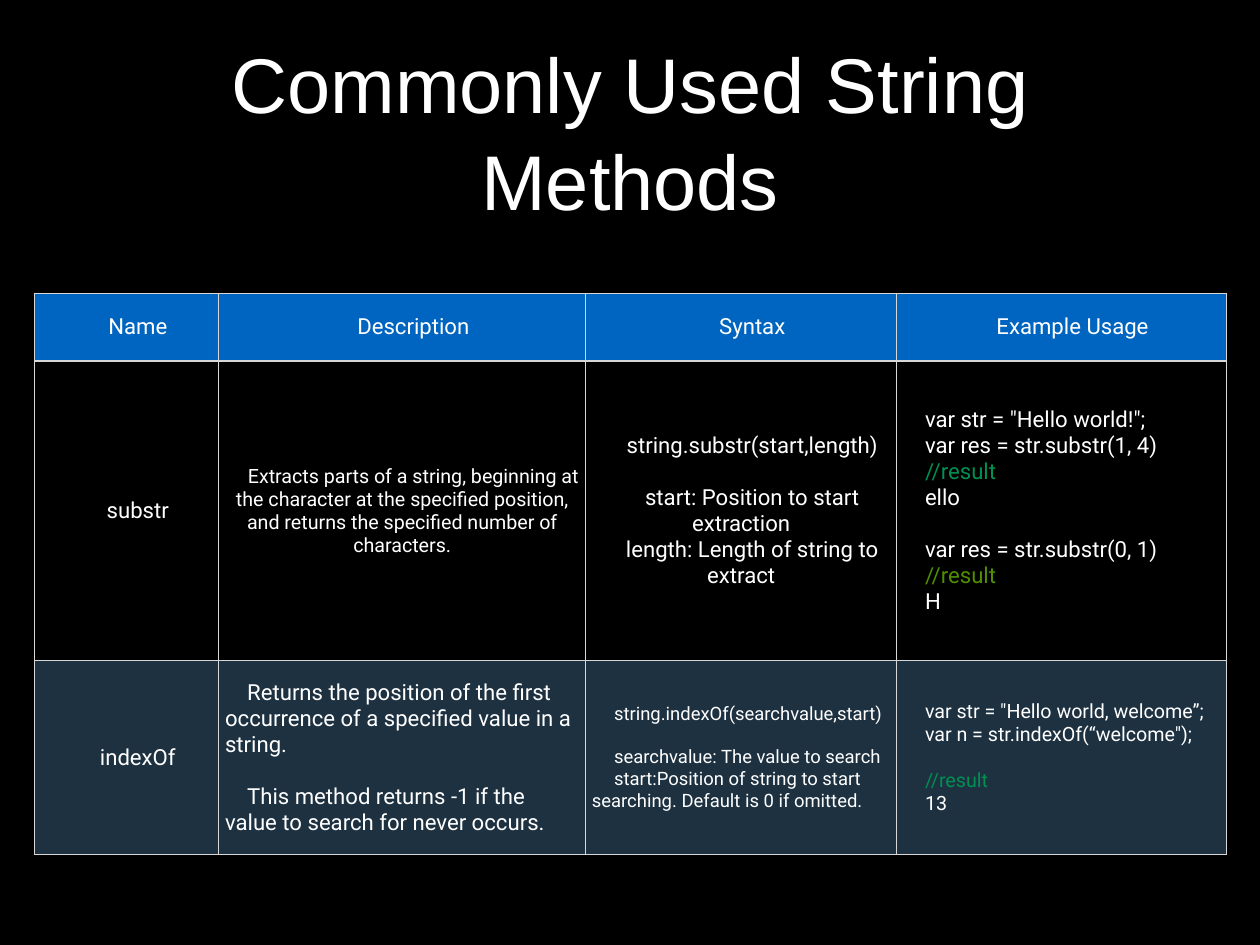
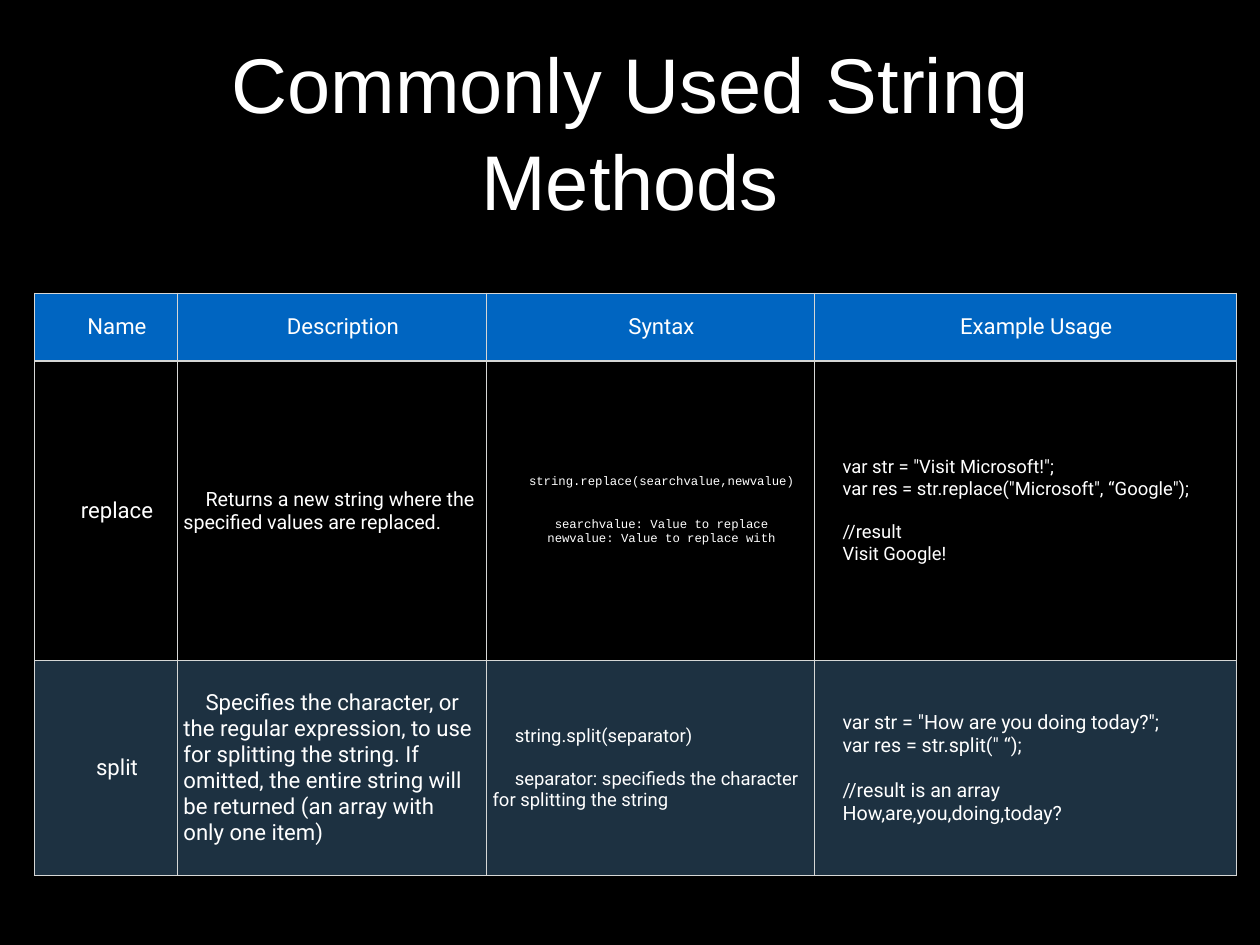
from dataclasses import dataclass

from lxml import etree
from pptx import Presentation
from pptx.dml.color import RGBColor
from pptx.enum.text import MSO_ANCHOR, PP_ALIGN
from pptx.oxml.ns import qn
from pptx.util import Inches, Pt

LEFT, CENTER = PP_ALIGN.LEFT, PP_ALIGN.CENTER
MIDDLE = MSO_ANCHOR.MIDDLE

BLACK, WHITE = "000000", "FFFFFF"
HEADER_BLUE, BAND_BLUE, BORDER_GRAY = "0065C1", "73C0FC", "D6D7D6"
GREEN, OLIVE = "009051", "4F8F00"
TITLE_FONT, BODY_FONT, CODE_FONT = "Arial", "Roboto", "Courier New"

TITLE = "Commonly Used String Methods"
HEADERS = ("Name", "Description", "Syntax", "Example Usage")


def rgb(value):
    return RGBColor.from_string(value)


@dataclass
class CellText:
    """Groups of lines set apart by a gap; a line is a string or (string, colour)."""
    groups: list
    size: int = 18
    align: PP_ALIGN = LEFT
    font: str = BODY_FONT
    gap_lines: int = 1


def label(text):
    return CellText([[text]], align=CENTER)


class MethodDeck:
    """Holds the shared style and the current slide."""
    table_left, table_top = 0.39, 3.31
    margin, first_indent = 0.07, 0.25
    line_height = 1.17
    band_opacity = 26

    def __init__(self):
        self.presentation = Presentation()
        self.presentation.slide_width = Inches(14.22)
        self.presentation.slide_height = Inches(10.67)
        self.slide = None

    def add_slide(self):
        self.slide = self.presentation.slides.add_slide(self.presentation.slide_layouts[6])
        background = self.slide.background.fill
        background.solid()
        background.fore_color.rgb = rgb(BLACK)

    def add_run(self, paragraph, text, size, font, color=WHITE):
        run = paragraph.add_run()
        run.text = text
        run.font.size = Pt(size)
        run.font.name = font
        run.font.color.rgb = rgb(color)

    def add_title(self, text):
        shape = self.slide.shapes.add_textbox(
            Inches(1.04), Inches(0.28), Inches(12.14), Inches(2.36))
        frame = shape.text_frame
        frame.word_wrap = True
        frame.vertical_anchor = MIDDLE
        frame.margin_left = frame.margin_right = 0
        frame.margin_top = frame.margin_bottom = 0
        paragraph = frame.paragraphs[0]
        paragraph.alignment = CENTER
        paragraph.line_spacing = 1.04
        self.add_run(paragraph, text, 63, TITLE_FONT)

    def add_table(self, widths, heights, body_rows):
        rows = [[label(text) for text in HEADERS]] + body_rows
        frame = self.slide.shapes.add_table(
            len(rows), len(widths), Inches(self.table_left), Inches(self.table_top),
            Inches(sum(widths)), Inches(sum(heights)))
        table = frame.table
        table.first_row = table.horz_banding = False
        for column, width in zip(table.columns, widths):
            column.width = Inches(width)
        for row, height in zip(table.rows, heights):
            row.height = Inches(height)
        for row_index, row in enumerate(rows):
            for column_index, content in enumerate(row):
                cell = table.cell(row_index, column_index)
                self.set_borders(cell, row_index)
                self.set_fill(cell, row_index)
                self.write_cell(cell, content)

    def set_borders(self, cell, row_index):
        # The rule under the header is twice as thick as the others
        thick_side = {0: "B", 1: "T"}.get(row_index)
        properties = cell._tc.get_or_add_tcPr()
        for side in "LRTB":
            width = Pt(2 if side == thick_side else 1)
            line = etree.SubElement(properties, qn(f"a:ln{side}"), w=str(width))
            fill = etree.SubElement(line, qn("a:solidFill"))
            etree.SubElement(fill, qn("a:srgbClr"), val=BORDER_GRAY)

    def set_fill(self, cell, row_index):
        # Header is solid, then plain and tinted rows alternate
        if row_index % 2:
            cell.fill.background()
            return
        cell.fill.solid()
        cell.fill.fore_color.rgb = rgb(BAND_BLUE if row_index else HEADER_BLUE)
        if row_index:
            color = cell._tc.tcPr.find(qn("a:solidFill")).find(qn("a:srgbClr"))
            etree.SubElement(color, qn("a:alpha"), val=str(self.band_opacity * 1000))

    def write_cell(self, cell, content):
        cell.vertical_anchor = MIDDLE
        cell.margin_left = cell.margin_right = Inches(self.margin)
        cell.margin_top = cell.margin_bottom = Inches(self.margin)
        frame = cell.text_frame
        paragraph = frame.paragraphs[0]
        for group_index, group in enumerate(content.groups):
            for line_index, line in enumerate(group):
                if group_index or line_index:
                    paragraph = frame.add_paragraph()
                if group_index and not line_index:
                    gap = content.gap_lines * content.size * self.line_height
                    paragraph.space_before = Pt(round(gap, 1))
                paragraph.alignment = content.align
                properties = paragraph._p.get_or_add_pPr()
                properties.set("marL", "0")
                properties.set("indent", str(Inches(self.first_indent)))
                text, color = (line, WHITE) if isinstance(line, str) else line
                self.add_run(paragraph, text, content.size, content.font, color)


SUBSTR_ROW = [
    label("substr"),
    CellText([["Extracts parts of a string, beginning at the character at the specified "
               "position, and returns the specified number of characters."]], 16, CENTER),
    CellText([["string.substr(start,length)"],
              ["start: Position to start extraction",
               "length: Length of string to extract"]], align=CENTER),
    CellText([['var str = "Hello world!";', "var res = str.substr(1, 4)",
               ("//result", GREEN), "ello"],
              ["var res = str.substr(0, 1)", ("//result", OLIVE), "H"]]),
]

INDEX_OF_ROW = [
    label("indexOf"),
    CellText([["Returns the position of the first occurrence of a specified value in a string."],
              ["This method returns -1 if the value to search for never occurs."]]),
    CellText([["string.indexOf(searchvalue,start)"],
              ["searchvalue: The value to search",
               "start:Position of string to start searching. Default is 0 if omitted."]], 15),
    CellText([['var str = "Hello world, welcome”;', 'var n = str.indexOf(“welcome");'],
              [("//result", GREEN), "13"]], 16),
]

REPLACE_ROW = [
    label("replace"),
    CellText([["Returns a new string where the specified values are replaced."]], 16),
    CellText([["string.replace(searchvalue,newvalue)"],
              ["searchvalue: Value to replace", "newvalue: Value to replace with"]],
             10, CENTER, CODE_FONT, gap_lines=2),
    CellText([['var str = "Visit Microsoft!";',
               'var res = str.replace("Microsoft", “Google");'],
              ["//result", "Visit Google!"]], 15),
]

SPLIT_ROW = [
    label("split"),
    CellText([["Specifies the character, or the regular expression, to use for splitting the "
               "string. If omitted, the entire string will be returned (an array with only "
               "one item)"]]),
    CellText([["string.split(separator)"],
              ["separator: specifieds the character for splitting the string"]], 15),
    CellText([['var str = "How are you doing today?";', 'var res = str.split(" “);'],
              ["//result is an array", "How,are,you,doing,today?"]], 16),
]

# Column widths, row heights and body rows of each slide
SLIDES = [
    ((2.08, 4.14, 3.51, 3.72), (0.77, 3.38, 2.19), [SUBSTR_ROW, INDEX_OF_ROW]),
    ((1.61, 3.49, 3.7, 4.76), (0.77, 3.38, 2.43), [REPLACE_ROW, SPLIT_ROW]),
]


def main():
    deck = MethodDeck()
    for widths, heights, body_rows in SLIDES:
        deck.add_slide()
        deck.add_title(TITLE)
        deck.add_table(widths, heights, body_rows)
    deck.presentation.save("out.pptx")


if __name__ == "__main__":
    main()
